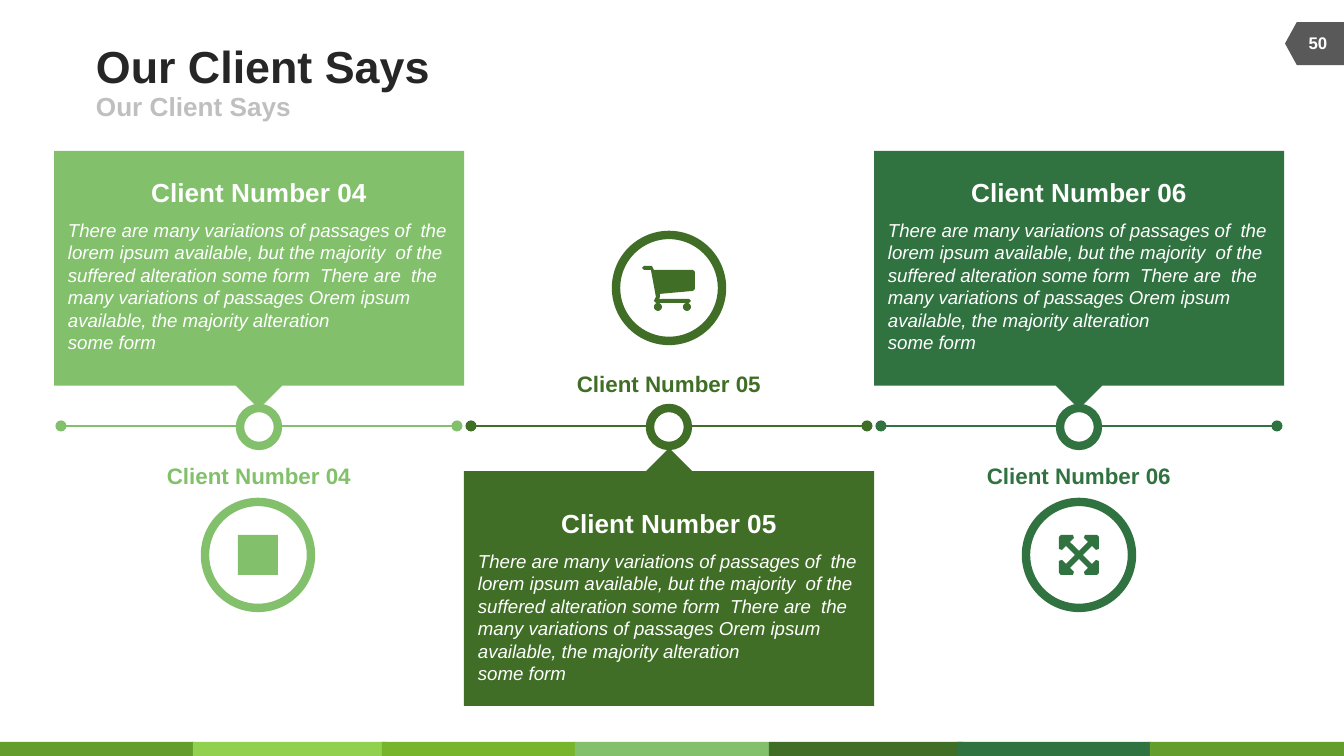
import math
from dataclasses import dataclass

from lxml import etree
from pptx import Presentation
from pptx import util as u
from pptx.dml.color import RGBColor
from pptx.enum import shapes, text
from pptx.oxml.ns import qn

PX = 914400 / 134.4
ICON_UNITS = 10  # drawing units per px inside an icon


@dataclass(frozen=True)
class Theme:
    font: str = "Arial"
    title: str = "262626"
    subtitle: str = "BFBFBF"
    tag: str = "595959"
    white: str = "FFFFFF"
    leaf: str = "639D2C"
    lime: str = "92D050"
    grass: str = "77B52D"
    mint: str = "82C06C"
    olive: str = "406E26"
    pine: str = "307240"
    title_size: int = 24
    heading_size: int = 14
    label_size: int = 12
    quote_size: int = 10
    quote_spacing: int = 12
    tag_size: int = 9
    ring: float = 4.5
    rule: float = 1.5


THEME = Theme()
QUOTE = ("There are many variations of passages of  the lorem ipsum available, "
         "but the majority  of the suffered alteration some form  There are  the "
         "many variations of passages Orem ipsum available, the majority "
         "alteration\vsome form")


def px(*lengths):
    return [u.Emu(round(length * PX)) for length in lengths]


def rgb(color):
    return RGBColor.from_string(color)


def add_figure(slide, kind, box, fill=None, ring=None):
    figure = slide.shapes.add_shape(kind, *px(*box))
    figure.shadow.inherit = False
    if fill:
        figure.fill.solid()
        figure.fill.fore_color.rgb = rgb(fill)
    else:
        figure.fill.background()
    if ring:
        figure.line.color.rgb = rgb(ring)
        figure.line.width = u.Pt(THEME.ring)
    else:
        figure.line.fill.background()
    return figure


def write(holder, words, size, color, align=text.PP_ALIGN.LEFT,
          anchor=text.MSO_ANCHOR.TOP, insets=(0, 0, 0, 0), bold=True, italic=False):
    frame = holder.text_frame
    frame.word_wrap = True
    frame.auto_size = text.MSO_AUTO_SIZE.NONE
    frame.vertical_anchor = anchor
    (frame.margin_left, frame.margin_top,
     frame.margin_right, frame.margin_bottom) = px(*insets)
    frame.text = words
    paragraph = frame.paragraphs[0]
    paragraph.alignment = align
    font = paragraph.font
    font.name, font.size = THEME.font, u.Pt(size)
    font.bold, font.italic = bold, italic
    font.color.rgb = rgb(color)
    return paragraph


def add_words(slide, box, *args, **style):
    return write(slide.shapes.add_textbox(*px(*box)), *args, **style)


def add_rule(slide, left, right, y, color):
    """Draw a horizontal line with a round dot at both ends."""
    rule = slide.shapes.add_connector(shapes.MSO_CONNECTOR.STRAIGHT, *px(right, y, left, y))
    rule.line.color.rgb = rgb(color)
    rule.line.width = u.Pt(THEME.rule)
    outline = rule.line._get_or_add_ln()
    for end in ("a:headEnd", "a:tailEnd"):
        etree.SubElement(outline, qn(end), type="oval")
    etree.SubElement(rule._element.spPr, qn("a:effectLst"))


def add_square(slide, x, y, color):
    add_figure(slide, shapes.MSO_SHAPE.RECTANGLE, (x - 20, y - 20, 40, 40), color)


def add_cart(slide, x, y, color):
    basket = [(26, 1), (24, 3), (-9, 6), (-9, 9), (-10, 11), (20, 11), (22, 13),
              (20, 15), (-13, 15), (-15, 13), (-13, 9), (-18, -18), (-25, -18),
              (-27, -20), (-25, -22), (-17, -22), (-15, -18), (24, -18), (26, -16)]
    angles = [math.tau * step / 16 for step in range(16)]
    wheels = [[(hub + 4 * math.cos(a), 19 + 4 * math.sin(a)) for a in angles]
              for hub in (-11, 18)]
    add_outline(slide, x, y, [basket, *wheels], color)


def add_expand_arrows(slide, x, y, color):
    """Draw four arrows from the centre: one arm turned by quarter turns."""
    arm = [(4, 0), (13, 9), (17, 5), (20, 6), (20, 18),
           (18, 20), (6, 20), (5, 17), (9, 13)]
    outline = []
    for _ in range(4):
        outline += arm
        arm = [(-dy, dx) for dx, dy in arm]
    add_outline(slide, x, y, [outline], color)


def add_outline(slide, centre_x, centre_y, contours, color):
    """Draw closed contours, given in px from the centre, as one filled shape."""
    scaled = [[(x * ICON_UNITS, y * ICON_UNITS) for x, y in c] for c in contours]
    builder = slide.shapes.build_freeform(*scaled[0][0], scale=PX / ICON_UNITS)
    for index, contour in enumerate(scaled):
        if index:
            builder.move_to(*contour[0])
        builder.add_line_segments(contour[1:], close=True)
    icon = builder.convert_to_shape(*px(centre_x, centre_y))
    icon.shadow.inherit = False
    icon.fill.solid()
    icon.fill.fore_color.rgb = rgb(color)
    icon.line.fill.background()


def add_client(slide, box, name, color, add_icon, below=False, badge_shift=0):
    """Place one client column; below puts the quote under the line."""
    left, top, width, _ = box
    middle = left + width // 2
    line_y = top + 275
    card_top, label_y, badge_y = (top + 297, top + 219, top + 84) if below else (
        top, top + 311, top + 351)
    text_top = card_top + (34 if below else 0)
    center = text.PP_ALIGN.CENTER

    add_rule(slide, left + 7, left + width - 7, line_y, color)
    add_words(slide, (middle - 110, label_y, 220, 27), name,
              THEME.label_size, color, align=center)
    card = add_figure(slide, shapes.MSO_SHAPE.DOWN_ARROW_CALLOUT,
                      (left, card_top, width, 258), color)
    for index, ratio in enumerate((0.26, 0.09, 0.09, 0.91)):
        card.adjustments[index] = ratio
    card.rotation = 180 if below else 0
    quote = add_words(slide, (left + 14, text_top + 68, 392, 142), QUOTE,
                      THEME.quote_size, THEME.white, insets=(0, 0, 13, 7),
                      bold=False, italic=True)
    quote.line_spacing = u.Pt(THEME.quote_spacing)
    add_words(slide, (middle - 130, text_top + 25, 260, 32), name,
              THEME.heading_size, THEME.white, align=center)
    oval = shapes.MSO_SHAPE.OVAL
    add_figure(slide, oval, (middle - 19, line_y - 18, 38, 38), THEME.white, color)
    badge_x = middle + badge_shift
    add_figure(slide, oval, (badge_x - 53, badge_y, 106, 106), ring=color)
    add_icon(slide, badge_x, badge_y + 53, color)


def add_footer(slide, box):
    left, top, _, height = box
    stripes = ((0, THEME.leaf), (193, THEME.lime), (382, THEME.grass),
               (575, THEME.mint), (769, THEME.olive), (957, THEME.pine),
               (1150, THEME.leaf))
    for offset, color in stripes:
        add_figure(slide, shapes.MSO_SHAPE.RECTANGLE,
                   (left + offset, top, 194, height), color)


def add_page_tag(slide, box, number):
    left, top, width, height = box
    lean = (width - height) / 2
    tag = add_figure(slide, shapes.MSO_SHAPE.FLOWCHART_OFFPAGE_CONNECTOR,
                     (left + lean, top - lean, height, width), THEME.tag)
    tag.rotation = 90
    add_words(slide, box, number, THEME.tag_size, THEME.white,
              align=text.PP_ALIGN.CENTER, anchor=text.MSO_ANCHOR.MIDDLE,
              insets=(7, 0, 0, 1))


def add_heading(slide, box, title, subtitle):
    left, top, width, height = box
    heading = slide.shapes.title
    heading.left, heading.top, heading.width, heading.height = px(left, top, width, height)
    middle = text.MSO_ANCHOR.MIDDLE
    write(heading, title, THEME.title_size, THEME.title, anchor=middle)
    add_words(slide, (left, top + height - 1, 605, 30), subtitle,
              THEME.heading_size, THEME.subtitle, anchor=middle)


def main():
    deck = Presentation()
    deck.slide_width, deck.slide_height = px(1344, 756)
    slide = deck.slides.add_slide(deck.slide_layouts[5])
    add_footer(slide, (0, 742, 1344, 14))
    add_page_tag(slide, (1285, 22, 59, 43), "50")
    add_heading(slide, (96, 40, 829, 52), "Our Client Says", "Our Client Says")
    clients = (
        ("Client Number 04", THEME.mint, add_square, False, -1),
        ("Client Number 05", THEME.olive, add_cart, True, 0),
        ("Client Number 06", THEME.pine, add_expand_arrows, False, 0),
    )
    for column, client in enumerate(clients):
        add_client(slide, (54 + 410 * column, 151, 410, 555), *client)
    deck.save("out.pptx")


if __name__ == "__main__":
    main()
